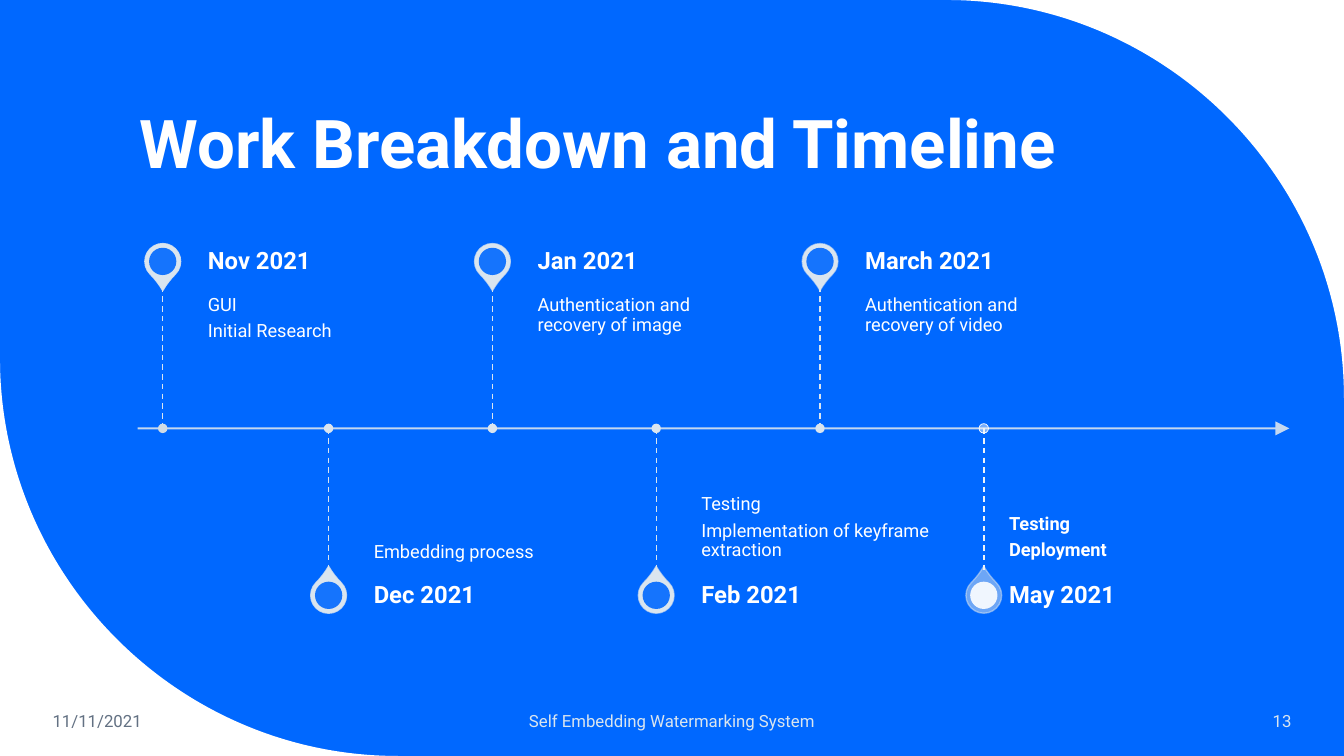
from dataclasses import dataclass

from lxml.etree import SubElement
from pptx import Presentation
from pptx.dml.color import RGBColor
from pptx.enum.dml import MSO_LINE
from pptx.enum.shapes import MSO_CONNECTOR, MSO_SHAPE
from pptx.enum.text import MSO_ANCHOR, PP_ALIGN
from pptx.oxml.ns import qn
from pptx.util import Pt

PX = 9525


@dataclass(frozen=True)
class Theme:
    font: str = "Roboto"
    blue: str = "0068FF"
    white: str = "FFFFFF"
    mist: str = "DAE5EF"
    first_dot: str = "D0DBE4"
    pale: str = "EEF3F7"
    slate: str = "637183"
    title: int = 48
    date: int = 17
    task: int = 13
    footer: int = 12


@dataclass(frozen=True)
class Box:
    left: float
    top: float
    width: float
    height: float

    def emu(self):
        return [px(n) for n in (self.left, self.top, self.width, self.height)]


THEME = Theme()


@dataclass(frozen=True)
class Milestone:
    date: str
    tasks: tuple
    dot: str = THEME.mist
    current: bool = False


MILESTONES = [
    Milestone("Nov 2021", ("GUI", "Initial Research"), dot=THEME.first_dot),
    Milestone("Dec 2021", ("Embedding process",)),
    Milestone("Jan 2021", ("Authentication and recovery of image",)),
    Milestone("Feb 2021", ("Testing", "Implementation of keyframe extraction")),
    Milestone("March 2021", ("Authentication and recovery of video",)),
    Milestone("May 2021", ("Testing", "Deployment"), dot=THEME.pale, current=True),
]


def px(length):
    return round(length * PX)


def paint(fill, color, alpha=100):
    """Give a fill a solid colour; alpha is the opacity in percent."""
    fill.solid()
    fill.fore_color.rgb = RGBColor.from_string(color)
    if alpha < 100:
        solid = fill._xPr.find(qn("a:solidFill"))
        SubElement(solid[0], qn("a:alpha"), val=str(alpha * 1000))


def add_text(slide, box, paragraphs, *, size, color=THEME.white, bold=False,
             align=PP_ALIGN.LEFT, anchor=MSO_ANCHOR.MIDDLE,
             insets=(10, 5, 10, 5), line_spacing=1.0, after=0):
    """Add a text box; insets are left, top, right, bottom in px, after is in percent."""
    frame = slide.shapes.add_textbox(*box.emu()).text_frame
    frame.word_wrap = True
    frame.vertical_anchor = anchor
    (frame.margin_left, frame.margin_top,
     frame.margin_right, frame.margin_bottom) = map(px, insets)
    for index, words in enumerate(paragraphs):
        paragraph = frame.add_paragraph() if index else frame.paragraphs[0]
        paragraph.alignment = align
        paragraph.line_spacing = line_spacing
        if after:
            spacing = SubElement(paragraph._p.get_or_add_pPr(), qn("a:spcAft"))
            SubElement(spacing, qn("a:spcPct"), val=str(after * 1000))
        run = paragraph.add_run()
        run.text = words
        run.font.name = THEME.font
        run.font.size = Pt(size)
        run.font.bold = bold
        run.font.color.rgb = RGBColor.from_string(color)


def add_centred(slide, kind, x, y, size, color, alpha=100):
    """Add a borderless square-framed shape centred on x, y."""
    box = Box(x - size / 2, y - size / 2, size, size)
    shape = slide.shapes.add_shape(kind, *box.emu())
    shape.shadow.inherit = False
    paint(shape.fill, color, alpha)
    shape.line.fill.background()
    return shape


def outline(shape, color, width, alpha=100):
    paint(shape.line.fill, color, alpha)
    shape.line.width = Pt(width)


def add_line(slide, start, end, color, width, *, alpha=100, dashed=False, arrow=False):
    line = slide.shapes.add_connector(
        MSO_CONNECTOR.STRAIGHT, *(px(n) for n in (*start, *end)))
    outline(line, color, width, alpha)
    if dashed:
        line.line.dash_style = MSO_LINE.DASH
    if arrow:
        SubElement(line.line._get_or_add_ln(), qn("a:tailEnd"),
                   type="triangle", w="lg", len="lg")
    SubElement(line._element.spPr, qn("a:effectLst"))


def add_corner(slide, box, toward_x, toward_y):
    """Fill what a quarter circle leaves of the box, at the corner 0 or 1 each way."""
    def place(across, down):
        """Point at these fractions of the box, counted from the filled corner."""
        x = 1 - across if toward_x else across
        y = 1 - down if toward_y else down
        return px(box.left + x * box.width), px(box.top + y * box.height)

    handle = 0.45
    builder = slide.shapes.build_freeform(*place(0, 0))
    builder.add_line_segments([place(1, 0), place(0, 1)])
    shape = builder.convert_to_shape()
    chord = list(shape._element.iter(qn("a:lnTo")))[1]
    curve = chord.makeelement(qn("a:cubicBezTo"))
    for x, y in (place(handle, 0), place(0, handle), place(0, 1)):
        SubElement(curve, qn("a:pt"), x=str(x - px(box.left)), y=str(y - px(box.top)))
    chord.getparent().replace(chord, curve)
    shape.shadow.inherit = False
    paint(shape.fill, THEME.white)
    shape.line.fill.background()


def add_pin(slide, x, y, rotation, ring_alpha, current):
    drop = add_centred(slide, MSO_SHAPE.TEAR, x, y, 34, THEME.mist, 50 if current else 100)
    drop.adjustments[0] = 1.15
    drop.rotation = rotation
    outline(drop, THEME.mist, 1, ring_alpha)
    add_centred(slide, MSO_SHAPE.OVAL, x, y, 26,
                THEME.white if current else THEME.blue, 90)


def add_milestone(slide, box, milestone, above, ring_alpha):
    """Fill the box above or below the axis; its left edge is the stem."""
    date_height = 48
    pin_inset = 24
    stem = box.height - date_height
    bottom = box.top + box.height
    axis = bottom if above else box.top
    tip = axis - stem if above else axis + stem
    pin = box.top + pin_inset if above else bottom - pin_inset
    left = box.left + (24 if milestone.current else 43)

    add_pin(slide, box.left, pin, 135 if above else 315, ring_alpha, milestone.current)
    add_text(slide, Box(left, min(axis, tip), box.width, stem), milestone.tasks,
             size=THEME.task, bold=milestone.current, line_spacing=0.9, after=35,
             anchor=MSO_ANCHOR.TOP if above else MSO_ANCHOR.BOTTOM,
             insets=(0, 9, 9, 13) if above else (0, 13, 0, 9))
    add_text(slide, Box(left, box.top if above else tip, box.width, date_height),
             [milestone.date], size=THEME.date, bold=True, line_spacing=0.9,
             after=35, insets=(0, 0, 12, 0))
    add_line(slide, (box.left, min(axis, tip)), (box.left, max(axis, tip)),
             THEME.pale if milestone.current else THEME.mist, 1, dashed=True)
    dot = add_centred(slide, MSO_SHAPE.OVAL, box.left, axis, 9, milestone.dot,
                      50 if milestone.current else 100)
    if milestone.current:
        outline(dot, THEME.white, 0.5)


def add_timeline(slide, box, milestones):
    half = box.height / 2
    axis = box.top + half
    add_line(slide, (box.left, axis), (box.left + box.width, axis),
             THEME.mist, 1.5, alpha=90, arrow=True)
    for index, milestone in enumerate(milestones):
        above = index % 2 == 0
        offset = 26 + 156 * index if index else 24
        area = Box(box.left + offset, box.top if above else axis,
                   260 if milestone.current else 223, half)
        add_milestone(slide, area, milestone, above, 90 - 8 * index)


def add_footer(slide, box):
    third = box.width / 3
    parts = [("11/11/2021", PP_ALIGN.LEFT, THEME.slate),
             ("Self Embedding Watermarking System", PP_ALIGN.CENTER, THEME.mist),
             ("13", PP_ALIGN.RIGHT, THEME.mist)]
    for index, (words, align, color) in enumerate(parts):
        add_text(slide, Box(box.left + index * third, box.top, third, box.height),
                 [words], size=THEME.footer, color=color, align=align)


def main():
    deck = Presentation()
    deck.slide_width, deck.slide_height = px(1280), px(720)
    slide = deck.slides.add_slide(deck.slide_layouts[6])
    paint(slide.background.fill, THEME.blue)
    add_corner(slide, Box(901, 0, 379, 379), 1, 0)
    add_corner(slide, Box(0, 341, 379, 379), 0, 1)
    add_text(slide, Box(123, 40, 1026, 139), ["Work Breakdown and Timeline"],
             size=THEME.title, bold=True, anchor=MSO_ANCHOR.BOTTOM, line_spacing=0.9)
    add_timeline(slide, Box(131, 225, 1097, 366), MILESTONES)
    add_footer(slide, Box(40, 667, 1200, 38))
    deck.save("out.pptx")


if __name__ == "__main__":
    main()
